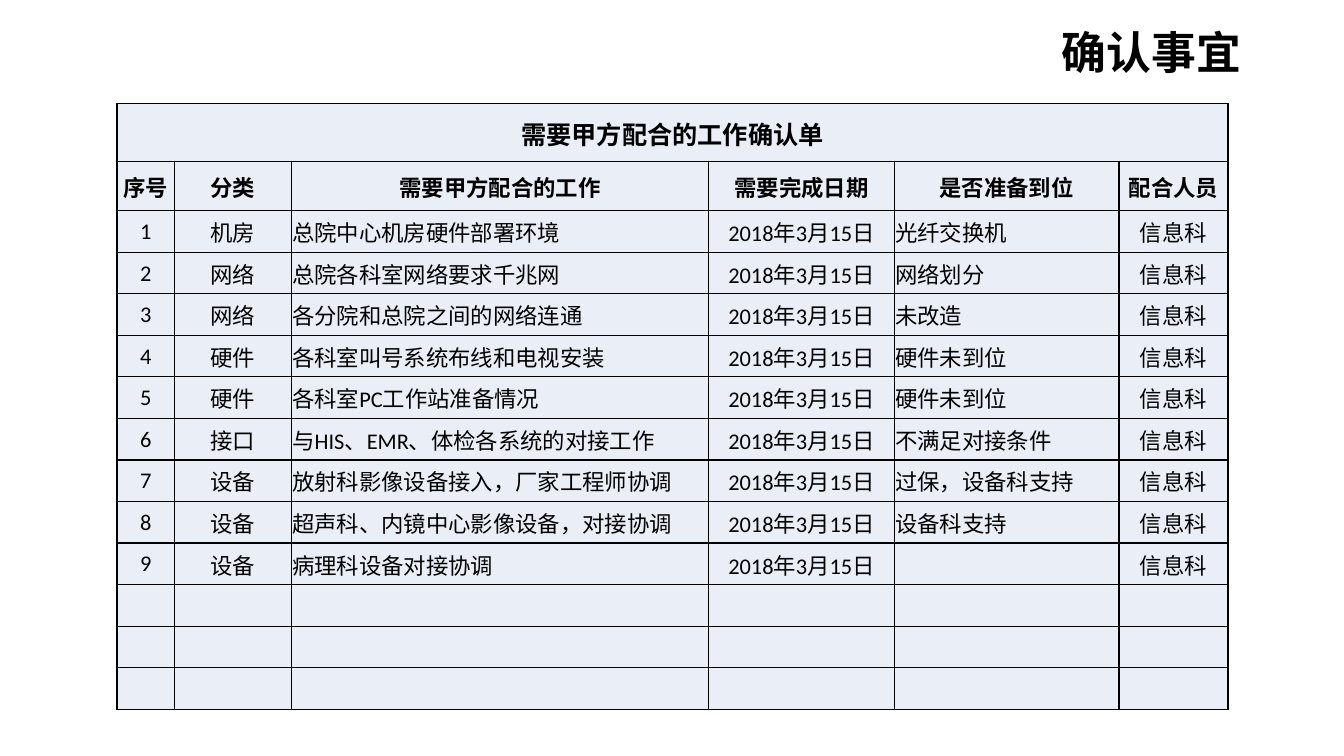
from dataclasses import dataclass

from lxml import etree
from pptx import Presentation
from pptx.dml.color import RGBColor
from pptx.enum import text as t
from pptx.oxml import ns
from pptx.slide import Slide
from pptx.table import Table, _Cell
from pptx.text.text import _Paragraph
from pptx.util import Inches, Pt

BLACK = RGBColor(0x00, 0x00, 0x00)
WHITE = RGBColor(0xFF, 0xFF, 0xFF)
PALE_BLUE = RGBColor(0xEA, 0xEF, 0xF7)

LATIN_FONT = "Calibri"
CHINESE_FONT = "Noto Sans CJK SC"
CENTER = t.PP_ALIGN.CENTER
LEFT = t.PP_ALIGN.LEFT
RIGHT = t.PP_ALIGN.RIGHT

SHEET_HEIGHT = 6.01
CAPTION_HEIGHT = 0.57
HEADER_HEIGHT = 0.49
TASK_ROWS = 12
DUE_DATE = "2018年3月15日"
STAFF = "信息科"


@dataclass(frozen=True)
class Column:
    heading: str
    width: float
    align: t.PP_ALIGN = CENTER
    font: str = LATIN_FONT


@dataclass(frozen=True)
class Task:
    category: str
    work: str
    readiness: str


COLUMNS = [
    Column("序号", 0.57),
    Column("分类", 1.16),
    Column("需要甲方配合的工作", 4.14, LEFT),
    Column("需要完成日期", 1.84),
    Column("是否准备到位", 2.23, LEFT),
    Column("配合人员", 1.08, font=CHINESE_FONT),
]

TASKS = [
    Task("机房", "总院中心机房硬件部署环境", "光纤交换机"),
    Task("网络", "总院各科室网络要求千兆网", "网络划分"),
    Task("网络", "各分院和总院之间的网络连通", "未改造"),
    Task("硬件", "各科室叫号系统布线和电视安装", "硬件未到位"),
    Task("硬件", "各科室PC工作站准备情况", "硬件未到位"),
    Task("接口", "与HIS、EMR、体检各系统的对接工作", "不满足对接条件"),
    Task("设备", "放射科影像设备接入，厂家工程师协调", "过保，设备科支持"),
    Task("设备", "超声科、内镜中心影像设备，对接协调", "设备科支持"),
    Task("设备", "病理科设备对接协调", ""),
]


def write(paragraph: _Paragraph, wording: str, size: int, align: t.PP_ALIGN,
          bold: bool = False, font: str = LATIN_FONT) -> None:
    paragraph.alignment = align
    run = paragraph.add_run()
    run.text = wording
    run.font.size = Pt(size)
    run.font.bold = bold
    run.font.color.rgb = BLACK
    run.font.name = font
    east_asian = etree.SubElement(run.font._element, ns.qn("a:ea"))
    east_asian.set("typeface", CHINESE_FONT)


def style_cell(cell: _Cell) -> None:
    cell.fill.solid()
    cell.fill.fore_color.rgb = PALE_BLUE
    cell.vertical_anchor = t.MSO_ANCHOR.MIDDLE
    cell.margin_left = cell.margin_right = cell.margin_top = Inches(0.01)
    cell.margin_bottom = 0
    properties = cell._tc.get_or_add_tcPr()
    for position, side in enumerate(("lnL", "lnR", "lnT", "lnB")):
        border = etree.Element(ns.qn(f"a:{side}"), w=str(Pt(1)))
        paint = etree.SubElement(border, ns.qn("a:solidFill"))
        etree.SubElement(paint, ns.qn("a:srgbClr"), val=str(BLACK))
        properties.insert(position, border)


def add_title(slide: Slide) -> None:
    title = slide.shapes.add_textbox(Inches(4.97), Inches(0.14), Inches(7.44), Inches(0.75))
    title.text_frame.word_wrap = True
    title.text_frame.vertical_anchor = t.MSO_ANCHOR.MIDDLE
    write(title.text_frame.paragraphs[0], "确认事宜", 32, RIGHT, True, CHINESE_FONT)


def add_sheet(slide: Slide) -> Table:
    sheet = slide.shapes.add_table(
        TASK_ROWS + 2, len(COLUMNS), Inches(1.16), Inches(1.03),
        Inches(sum(column.width for column in COLUMNS)), Inches(SHEET_HEIGHT),
    ).table
    sheet.first_row = sheet.horz_banding = False
    task_height = (SHEET_HEIGHT - CAPTION_HEIGHT - HEADER_HEIGHT) / TASK_ROWS
    heights = [CAPTION_HEIGHT, HEADER_HEIGHT] + [task_height] * TASK_ROWS
    for row, height in zip(sheet.rows, heights):
        row.height = Inches(height)
    for grid_column, column in zip(sheet.columns, COLUMNS):
        grid_column.width = Inches(column.width)
    for cell in sheet.iter_cells():
        style_cell(cell)
    return sheet


def fill_sheet(sheet: Table) -> None:
    caption = sheet.cell(0, 0)
    caption.merge(sheet.cell(0, len(COLUMNS) - 1))
    write(caption.text_frame.paragraphs[0], "需要甲方配合的工作确认单", 18, CENTER, True)
    for index, column in enumerate(COLUMNS):
        heading = sheet.cell(1, index).text_frame.paragraphs[0]
        write(heading, column.heading, 16, CENTER, True)
    for number, task in enumerate(TASKS, start=1):
        entries = (str(number), task.category, task.work, DUE_DATE, task.readiness, STAFF)
        for index, (column, entry) in enumerate(zip(COLUMNS, entries)):
            if entry:
                paragraph = sheet.cell(number + 1, index).text_frame.paragraphs[0]
                write(paragraph, entry, 16, column.align, font=column.font)


def main() -> None:
    deck = Presentation()
    deck.slide_width = Inches(13.33)
    deck.slide_height = Inches(7.5)
    slide = deck.slides.add_slide(deck.slide_layouts[6])
    slide.background.fill.solid()
    slide.background.fill.fore_color.rgb = WHITE
    add_title(slide)
    fill_sheet(add_sheet(slide))
    deck.save("out.pptx")


if __name__ == "__main__":
    main()
